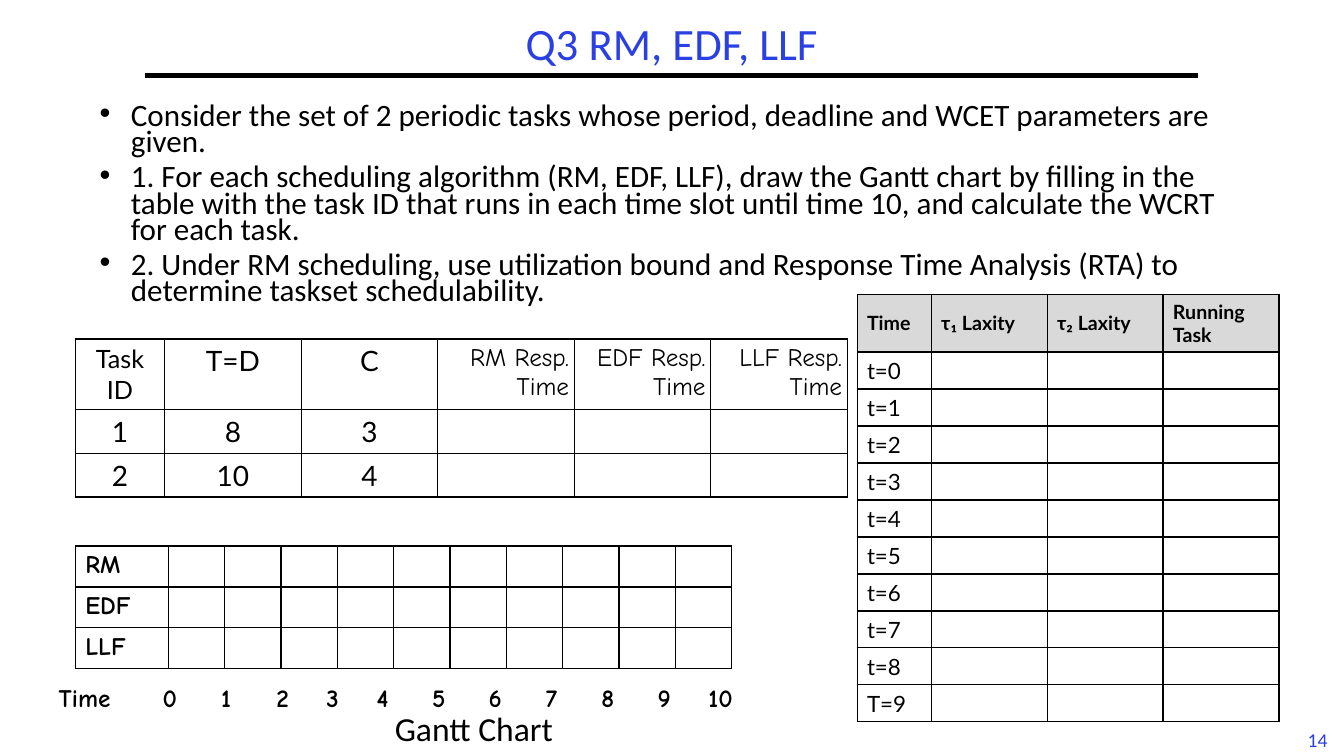
from dataclasses import dataclass

from lxml import etree
from pptx import Presentation
from pptx.dml.color import RGBColor
from pptx.enum.shapes import MSO_CONNECTOR
from pptx.enum.text import MSO_ANCHOR, PP_ALIGN
from pptx.oxml.ns import qn
from pptx.util import Cm, Pt

LEFT, MID, RIGHT = PP_ALIGN.LEFT, PP_ALIGN.CENTER, PP_ALIGN.RIGHT
TOP, CENTRE = MSO_ANCHOR.TOP, MSO_ANCHOR.MIDDLE
STRAIGHT = MSO_CONNECTOR.STRAIGHT


@dataclass(frozen=True)
class Theme:
    ink: str = "000000"
    blue: str = "2A40E2"
    grey: str = "D9D9D9"
    main: str = "Calibri"
    grid: str = "Lato"
    hand: str = "Comic Neue"
    title: float = 32
    label: float = 24
    body: float = 22.2
    large: float = 20
    cell: float = 18
    slot: float = 16
    small: float = 14


THEME = Theme()

POINTS = (
    "Consider the set of 2 periodic tasks whose period, deadline and WCET "
    "parameters are given.",
    "1. For each scheduling algorithm (RM, EDF, LLF), draw the Gantt chart by "
    "filling in the table with the task ID that runs in each time slot until "
    "time 10, and calculate the WCRT for each task.",
    "2. Under RM scheduling, use utilization bound and Response Time Analysis "
    "(RTA) to determine taskset schedulability.",
)
RULES = ("RM", "EDF", "LLF")
TASKS = (("1", "8", "3"), ("2", "10", "4"))
SLOTS = 10


def add_run(para, text, size, font, color=THEME.ink, bold=False):
    run = para.add_run()
    run.text = text
    run.font.size = Pt(size)
    run.font.name = font
    run.font.bold = bold
    run.font.color.rgb = RGBColor.from_string(color)


def add_box(slide, box, anchor=TOP, wrap=True):
    frame = slide.shapes.add_textbox(*map(Cm, box)).text_frame
    frame.word_wrap = wrap
    frame.vertical_anchor = anchor
    return frame


def set_edges(cell, color):
    """Draw the four borders, or clear them when color is None."""
    props = cell._tc.get_or_add_tcPr()
    for index, tag in enumerate(("a:lnL", "a:lnR", "a:lnT", "a:lnB")):
        edge = etree.Element(qn(tag), w=str(Pt(1)))
        if color:
            fill = etree.SubElement(edge, qn("a:solidFill"))
            etree.SubElement(fill, qn("a:srgbClr"), val=color)
        else:
            etree.SubElement(edge, qn("a:noFill"))
        props.insert(index, edge)


def add_grid(slide, spot, cols, rows, edge=THEME.ink):
    """Place an empty, unfilled table with its top left corner at spot."""
    size = sum(cols), sum(rows)
    table = slide.shapes.add_table(
        len(rows), len(cols), *map(Cm, (*spot, *size))).table
    table.first_row = table.horz_banding = False
    for col, width in zip(table.columns, cols):
        col.width = Cm(width)
    for row, height in zip(table.rows, rows):
        row.height = Cm(height)
    for cell in table.iter_cells():
        cell.fill.background()
        set_edges(cell, edge)
        para = cell.text_frame.paragraphs[0]
        etree.SubElement(para._p, qn("a:endParaRPr"), sz=str(THEME.small * 100))
    return table


def fill_cell(cell, text, size, font, align=LEFT, bold=False, pad=0.25):
    cell.margin_left = cell.margin_right = Cm(pad)
    para = cell.text_frame.paragraphs[0]
    para.alignment = align
    add_run(para, text, size, font, bold=bold)


def draw_head(slide, box):
    left, top, width, height = box
    para = add_box(slide, box, CENTRE).paragraphs[0]
    para.alignment = MID
    para.line_spacing = 0.9
    add_run(para, "Q3 RM, EDF, LLF", THEME.title, THEME.main, THEME.blue)
    base = Cm(top + height)
    rule = slide.shapes.add_connector(
        STRAIGHT, Cm(left), base, Cm(left + width), base)
    rule.line.width = Pt(3)
    rule.line.color.rgb = RGBColor.from_string(THEME.ink)
    etree.SubElement(rule._element.spPr, qn("a:effectLst"))


def draw_points(slide, box):
    frame = add_box(slide, box)
    for index, text in enumerate(POINTS):
        para = frame.add_paragraph() if index else frame.paragraphs[0]
        props = para._p.get_or_add_pPr()
        props.set("marL", str(Cm(0.79)))
        props.set("indent", str(Cm(-0.79)))
        etree.SubElement(props, qn("a:buFont"), typeface="Arial")
        etree.SubElement(props, qn("a:buChar"), char="•")
        para.line_spacing = 0.7
        if index:
            para.space_before = Pt(6.5)
        add_run(para, text, THEME.body, THEME.main)


def draw_tasks(slide, spot):
    table = add_grid(slide, spot, [2.25] + [3.44] * 5, [1.78, 1.1, 1.1])
    for col, text in enumerate(("Task ID", "T=D", "C")):
        size = THEME.large if col else THEME.cell
        fill_cell(table.cell(0, col), text, size, THEME.grid, MID, pad=0.48)
    for col, rule in enumerate(RULES, 3):
        fill_cell(table.cell(0, col), f"{rule} Resp. Time",
                  THEME.cell, THEME.hand, RIGHT, pad=0.13)
    for row, task in enumerate(TASKS, 1):
        for col, text in enumerate(task):
            fill_cell(table.cell(row, col), text,
                      THEME.large, THEME.grid, MID, pad=0.48)


def draw_gantt(slide, spot):
    left, top = spot
    name, step, high = 2.34, 1.42, 1.03
    table = add_grid(slide, spot, [name] + [step] * SLOTS, [high] * len(RULES))
    for row, rule in enumerate(RULES):
        fill_cell(table.cell(row, 0), rule, THEME.cell, THEME.hand, bold=True)

    widths = [name] + [step] * (SLOTS + 1)
    widths[4] = 1.1
    axis = add_grid(slide, (left - 0.67, top + 3.36), widths, [high], None)
    fill_cell(axis.cell(0, 0), "Time", THEME.cell, THEME.hand, bold=True)
    for tick in range(SLOTS + 1):
        fill_cell(axis.cell(0, tick + 1), str(tick),
                  THEME.cell, THEME.hand, MID, True)

    para = add_box(slide, (left + 7.8, top + 4.15, 4.65, 1.09)).paragraphs[0]
    para.line_spacing = 0.8
    add_run(para, "Gantt Chart", THEME.label, THEME.main)


def draw_laxity(slide, spot):
    table = add_grid(slide, spot, [1.87] + [2.92] * 3, [1.45] + [0.93] * SLOTS)
    heads = ("Time", "τ₁ Laxity", "τ₂ Laxity", "Running Task")
    for col, text in enumerate(heads):
        cell = table.cell(0, col)
        cell.fill.solid()
        cell.fill.fore_color.rgb = RGBColor.from_string(THEME.grey)
        cell.vertical_anchor = CENTRE
        fill_cell(cell, text, THEME.small, THEME.grid, bold=True)
    for slot in range(SLOTS):
        cell = table.cell(slot + 1, 0)
        cell.vertical_anchor = CENTRE
        sign = "T" if slot == SLOTS - 1 else "t"
        fill_cell(cell, f"{sign}={slot}", THEME.slot, THEME.grid)


def draw_number(slide, box):
    para = add_box(slide, box, wrap=False).paragraphs[0]
    para.alignment = MID
    add_run(para, "14", THEME.small, THEME.main, THEME.blue)


def main():
    deck = Presentation()
    deck.slide_width, deck.slide_height = Cm(33.87), Cm(19.05)
    slide = deck.slides.add_slide(deck.slide_layouts[6])
    draw_number(slide, (32.66, 18.21, 1.09, 0.84))
    draw_head(slide, (3.66, 0.43, 26.54, 1.47))
    draw_gantt(slide, (1.9, 13.76))
    draw_tasks(slide, (1.9, 8.54))
    draw_laxity(slide, (21.6, 7.42))
    draw_points(slide, (2.26, 2.54, 29.36, 5.51))
    deck.save("out.pptx")


if __name__ == "__main__":
    main()
